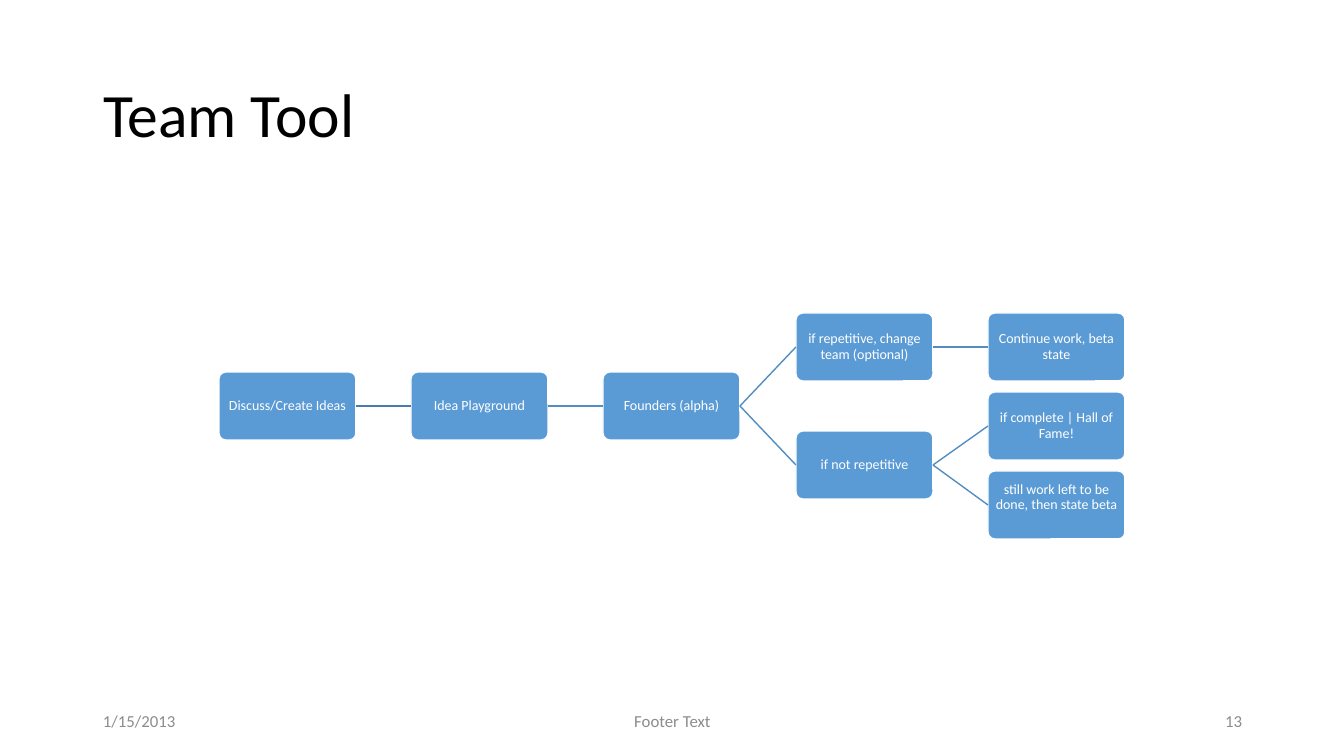
from lxml.etree import SubElement
from pptx import Presentation
from pptx.dml.color import RGBColor
from pptx.enum.shapes import MSO_CONNECTOR as Link, MSO_SHAPE as Shape
from pptx.enum.text import MSO_ANCHOR as Anchor, PP_ALIGN as Align
from pptx.oxml.ns import qn
from pptx.util import Emu, Pt

WIDE, HIGH = 1344, 756
SCALE = 12192000 / WIDE
BLACK = RGBColor(0x00, 0x00, 0x00)
WHITE = RGBColor(0xFF, 0xFF, 0xFF)
GREY = RGBColor(0x8C, 0x8C, 0x8C)
BLUE = RGBColor(0x5B, 0x9B, 0xD5)
DARK = RGBColor(0x49, 0x7C, 0xAB)
MID = RGBColor(0x53, 0x8D, 0xC1)

# text, column, row
STEPS = [
    ("Discuss/Create Ideas", 0, 0.75),
    ("Idea Playground", 1, 0.75),
    ("Founders (alpha)", 2, 0.75),
    ("if repetitive, change team (optional)", 3, 0),
    ("Continue work, beta state", 4, 0),
    ("if not repetitive", 3, 1.5),
    ("if complete | Hall of Fame!", 4, 1),
    ("still work left to be done, then state beta", 4, 2),
]
LINKS = [(0, 1), (1, 2), (2, 3), (3, 4), (2, 5), (5, 6), (5, 7)]
NODE_W, NODE_H = 137, 68


def px(num):
    return Emu(round(num * SCALE))


def style(par, size, color, align):
    par.font.name = "Calibri"
    par.font.size = Pt(size)
    par.font.color.rgb = color
    par.alignment = align


def add_title(slide, box, text):
    title = slide.shapes.title
    title.left, title.top, title.width, title.height = map(px, box)
    frame = title.text_frame
    frame.text = text
    frame.vertical_anchor = Anchor.MIDDLE
    style(frame.paragraphs[0], 44, BLACK, Align.LEFT)


def add_node(slide, box, text):
    node = slide.shapes.add_shape(Shape.ROUNDED_RECTANGLE, *map(px, box))
    node.adjustments[0] = 0.1
    node.shadow.inherit = False
    node.fill.solid()
    node.fill.fore_color.rgb = BLUE
    node.line.color.rgb = WHITE
    node.line.width = Pt(1)
    frame = node.text_frame
    frame.word_wrap = True
    frame.vertical_anchor = Anchor.MIDDLE
    frame.margin_left = frame.margin_right = px(2)
    frame.margin_top = frame.margin_bottom = px(2)
    frame.text = text
    par = frame.paragraphs[0]
    style(par, 10, WHITE, Align.CENTER)
    par.line_spacing = 0.9
    return node


def add_link(slide, start, end, color):
    line = slide.shapes.add_connector(Link.STRAIGHT, 0, 0, 0, 0)
    line.begin_connect(start, 3)
    line.end_connect(end, 1)
    line.line.color.rgb = color
    line.line.width = Pt(1)
    SubElement(line._element.spPr, qn("a:effectLst"))


def add_flow(slide, box):
    """Lay the steps out as a tree of five columns and three rows."""
    left, top, width, height = box
    nodes = []
    for text, col, row in STEPS:
        x = left + round((width - NODE_W) * col / 4)
        y = top + round((height - NODE_H) * row / 2)
        nodes.append(add_node(slide, (x, y, NODE_W, NODE_H), text))
    # The last label sits one line higher than centre
    nodes[-1].text_frame.margin_bottom = px(17)
    for start, end in LINKS:
        color = MID if start else DARK
        add_link(slide, nodes[start], nodes[end], color)


def add_footer(slide, box):
    left, top, width, height = box
    side, mid = 361, 319
    parts = [
        ("1/15/2013", left, side, Align.LEFT),
        ("Footer Text", left + (width - mid) // 2, mid, Align.CENTER),
        ("13", left + width - side, side, Align.RIGHT),
    ]
    for text, x, wide, align in parts:
        label = slide.shapes.add_textbox(px(x), px(top), px(wide), px(height))
        frame = label.text_frame
        frame.word_wrap = True
        frame.vertical_anchor = Anchor.MIDDLE
        frame.text = text
        style(frame.paragraphs[0], 12, GREY, align)


def main():
    deck = Presentation()
    deck.slide_width, deck.slide_height = px(WIDE), px(HIGH)
    slide = deck.slides.add_slide(deck.slide_layouts[5])
    add_title(slide, (93, 40, 1159, 146), "Team Tool")
    add_flow(slide, (219, 313, 906, 226))
    add_footer(slide, (93, 701, 1159, 40))
    deck.save("out.pptx")


if __name__ == "__main__":
    main()
